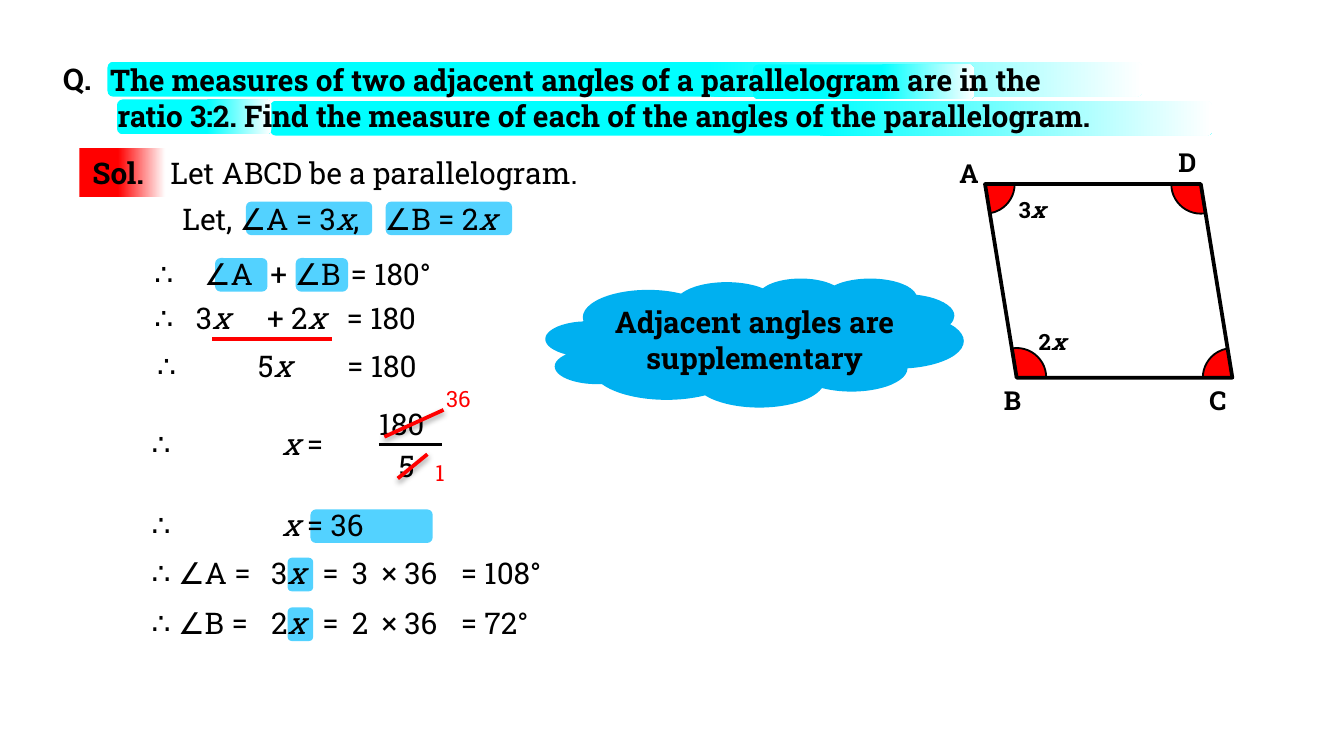
from lxml import etree
from pptx import Presentation
from pptx.dml.color import RGBColor
from pptx.enum.shapes import MSO_CONNECTOR, MSO_SHAPE
from pptx.enum.text import MSO_ANCHOR, MSO_AUTO_SIZE, PP_ALIGN
from pptx.oxml import parse_xml
from pptx.oxml.ns import nsdecls, qn
from pptx.util import Inches, Pt

RECT, ROUND = MSO_SHAPE.RECTANGLE, MSO_SHAPE.ROUNDED_RECTANGLE
ARC, CLOUD, PARALLELOGRAM = MSO_SHAPE.ARC, MSO_SHAPE.CLOUD, MSO_SHAPE.PARALLELOGRAM
STRAIGHT = MSO_CONNECTOR.STRAIGHT
FIT = MSO_AUTO_SIZE.SHAPE_TO_FIT_TEXT
LEFT, CENTER, TOP = PP_ALIGN.LEFT, PP_ALIGN.CENTER, MSO_ANCHOR.TOP

FONT = "Roboto Slab"
BLACK = RGBColor(0x00, 0x00, 0x00)
WHITE = RGBColor(0xFF, 0xFF, 0xFF)
RED = RGBColor(0xFF, 0x00, 0x00)
CYAN = RGBColor(0x00, 0xFF, 0xFF)
SKY = RGBColor(0x53, 0xD2, 0xFF)
BLUE = RGBColor(0x00, 0xB0, 0xF0)

SHADOW = (f'<a:effectLst {nsdecls("a")}><a:outerShdw blurRad="39400" dist="20300" dir="5400000">'
          '<a:srgbClr val="000000"><a:alpha val="38000"/></a:srgbClr></a:outerShdw></a:effectLst>')


def write(sp, lines, size, color, bold, wrap, align):
    """Fill a shape with paragraphs; the variable x is set in italics."""
    tf = sp.text_frame
    tf.word_wrap, tf.auto_size, tf.vertical_anchor = wrap, FIT, TOP
    for i, line in enumerate(lines):
        p = tf.add_paragraph() if i else tf.paragraphs[0]
        for part in line.partition("x"):
            if part:
                r = p.add_run()
                r.text = part
                if part == "x":
                    r.font.italic = True
        p.alignment = align
        p.font.name, p.font.size, p.font.bold = FONT, Pt(size), bold
        p.font.color.rgb = color


def text(shapes, x, y, w, *lines, size=16, color=BLACK, bold=False, wrap=False, align=LEFT):
    h = 0.1 + 0.017 * size * len(lines)
    sp = shapes.add_textbox(Inches(x), Inches(y), Inches(w), Inches(h))
    write(sp, lines, size, color, bold, wrap, align)


def shape(shapes, kind, x, y, w, h, fill=None, line=None):
    sp = shapes.add_shape(kind, Inches(x), Inches(y), Inches(w), Inches(h))
    sp.shadow.inherit = False
    if fill is None:
        sp.fill.background()
    else:
        sp.fill.solid()
        sp.fill.fore_color.rgb = fill
    if line is None:
        sp.line.fill.background()
    else:
        sp.line.color.rgb = BLACK
        sp.line.width = Pt(line)
    return sp


def fade(sp, color, solid_share):
    """Fade the fill from a colour on the left to white on the right."""
    sp.fill.gradient()
    sp.fill.gradient_angle = 0
    for stop, rgb, pos in zip(sp.fill.gradient_stops, (color, WHITE), (solid_share, 1)):
        stop.color.rgb, stop.position = rgb, pos


def stroke(shapes, x1, y1, x2, y2, color, width, shadow=False):
    c = shapes.add_connector(STRAIGHT, Inches(x1), Inches(y1), Inches(x2), Inches(y2))
    c.line.color.rgb = color
    c.line.width = Pt(width)
    if shadow:
        c._element.spPr.append(parse_xml(SHADOW))
    else:
        etree.SubElement(c._element.spPr, qn("a:effectLst"))


def question(shapes, x, y):
    for dx, dy, w in ((1.64, 0.35, 7.01), (0.5, 0.34, 1.15), (0.43, 0.06, 7.7), (5.23, 0.08, 1.65)):
        fade(shape(shapes, ROUND, x + dx, y + dy, w, 0.26, CYAN), CYAN, 0.58)
    text(shapes, x, y, 0.46, "Q.", bold=True)
    text(shapes, x + 0.35, y + 0.01, 8.58,
         "The measures of two adjacent angles of a parallelogram are in the",
         " ratio 3:2. Find the measure of each of the angles of the parallelogram.",
         bold=True, wrap=True)


def statement(shapes, x, y):
    sol = shape(shapes, RECT, x, y, 0.64, 0.37, RED)
    fade(sol, RED, 0.45)
    write(sol, ["Sol."], 16, BLACK, True, False, LEFT)
    for dx in (1.24, 2.28):
        shape(shapes, ROUND, x + dx, y + 0.4, 0.94, 0.25, SKY)
    text(shapes, x + 0.58, y, 4.09, "Let ABCD be a parallelogram.", wrap=True)
    text(shapes, x + 0.67, y + 0.34, 2.74, "Let, ∠A = 3x,", wrap=True)
    text(shapes, x + 2.12, y + 0.34, 1.13, " ∠B = 2x")


def fraction(shapes, x, y):
    """180 over 5, cancelled to 36 over 1."""
    text(shapes, x, y, 0.62, "180")
    stroke(shapes, x + 0.1, y + 0.34, x + 0.57, y + 0.34, BLACK, 1.5)
    text(shapes, x + 0.15, y + 0.31, 0.34, "5")
    stroke(shapes, x + 0.46, y + 0.41, x + 0.24, y + 0.59, RED, 2, shadow=True)
    stroke(shapes, x + 0.58, y + 0.08, x + 0.14, y + 0.28, RED, 2, shadow=True)
    text(shapes, x + 0.42, y + 0.4, 0.31, "1", size=12, color=RED)
    text(shapes, x + 0.5, y - 0.15, 0.41, "36", size=12, color=RED)


def working(shapes, x, y):
    """Solve for x; each row holds its top and its (left, width, text) terms."""
    for dx, dy, w in ((0.57, 0.07, 0.39), (1.17, 0.07, 0.39), (1.28, 1.94, 0.91)):
        shape(shapes, ROUND, x + dx, y + dy, w, 0.25, SKY)
    rows = (
        (0, ((0.02, 0.35, "∴"), (0.39, 0.65, "∠A"), (0.83, 0.8, " + ∠B"), (1.48, 0.92, "= 180°"))),
        (0.33, ((0.02, 0.35, "∴"), (0.33, 0.47, "3x"), (0.86, 0.67, "+ 2x"), (1.45, 0.82, "= 180"))),
        (0.69, ((0.04, 0.35, "∴"), (0.79, 0.47, "5x"), (1.4, 0.9, " = 180"))),
        (1.27, ((0, 0.35, "∴"), (0.97, 0.65, "x ="))),
        (1.87, ((0, 0.35, "∴"), (0.97, 0.95, "x = 36"))),
    )
    for dy, terms in rows:
        for dx, w, term in terms:
            text(shapes, x + dx, y + dy, w, term)
    stroke(shapes, x + 0.55, y + 0.67, x + 1.44, y + 0.67, RED, 2.25)
    fraction(shapes, x + 1.69, y + 1.12)


def answers(shapes, x, y):
    columns = ((0, 1.01), (0.89, 0.47), (1.27, 0.34), (1.49, 0.34), (1.71, 0.69), (2.3, 0.92))
    for i, (angle, factor, value) in enumerate((("A", 3, 108), ("B", 2, 72))):
        top = y + 0.37 * i
        shape(shapes, ROUND, x + 1.11, top + 0.07, 0.19, 0.25, SKY)
        terms = (f"∴ ∠{angle} =", f"{factor}x", "=", str(factor), "× 36", f"= {value}°")
        for (dx, w), term in zip(columns, terms):
            text(shapes, x + dx, top, w, term)


def figure(shapes, x, y, w, h):
    """Parallelogram ABCD with a red wedge in each corner."""
    slant, radius, lean = 0.163, 0.22, 81
    inset = slant * h
    corners = (
        (x, y, 0, lean),
        (x + w - inset, y, lean, 180),
        (x + w, y + h, 180, 180 + lean),
        (x + inset, y + h, 180 + lean, 0),
    )
    for cx, cy, start, end in corners:
        wedge = shape(shapes, ARC, cx - radius, cy - radius, 2 * radius, 2 * radius, RED, 1)
        # Arc angles are 60000ths of a degree, adjustments 100000ths
        wedge.adjustments[0], wedge.adjustments[1] = start * 0.6, end * 0.6
    group = shapes.add_group_shape().shapes
    outline = shape(group, PARALLELOGRAM, x, y, w, h, line=2)
    outline.adjustments[0] = slant
    outline._element.spPr.find(qn("a:xfrm")).set("flipH", "1")
    for name, dx, dy in (("A", -0.29, -0.25), ("D", 1.34, -0.33), ("B", 0.04, h), ("C", 1.57, h)):
        text(group, x + dx, y + dy, 0.35, name, size=14, bold=True)
    text(shapes, x + 0.15, y + 0.04, 0.42, "3x", size=12, bold=True)
    text(shapes, x + 0.3, y + 1.02, 0.42, "2x", size=12, bold=True)


def hint(shapes, x, y, w, h):
    group = shapes.add_group_shape().shapes
    shape(group, CLOUD, x, y, w, h, BLUE)
    sp = group.add_textbox(Inches(x), Inches(y + 0.14), Inches(w), Inches(0.64))
    write(sp, ["Adjacent angles are supplementary"], 16, BLACK, True, True, CENTER)


def main():
    prs = Presentation()
    prs.slide_width = Inches(10)
    prs.slide_height = prs.slide_width * 9 // 16
    shapes = prs.slides.add_slide(prs.slide_layouts[6]).shapes
    question(shapes, 0.37, 0.4)
    statement(shapes, 0.59, 1.1)
    working(shapes, 1.03, 1.85)
    answers(shapes, 1.03, 4.08)
    figure(shapes, 7.33, 1.37, 1.84, 1.44)
    hint(shapes, 4.06, 2.07, 3.11, 0.96)
    prs.save("out.pptx")


if __name__ == "__main__":
    main()
